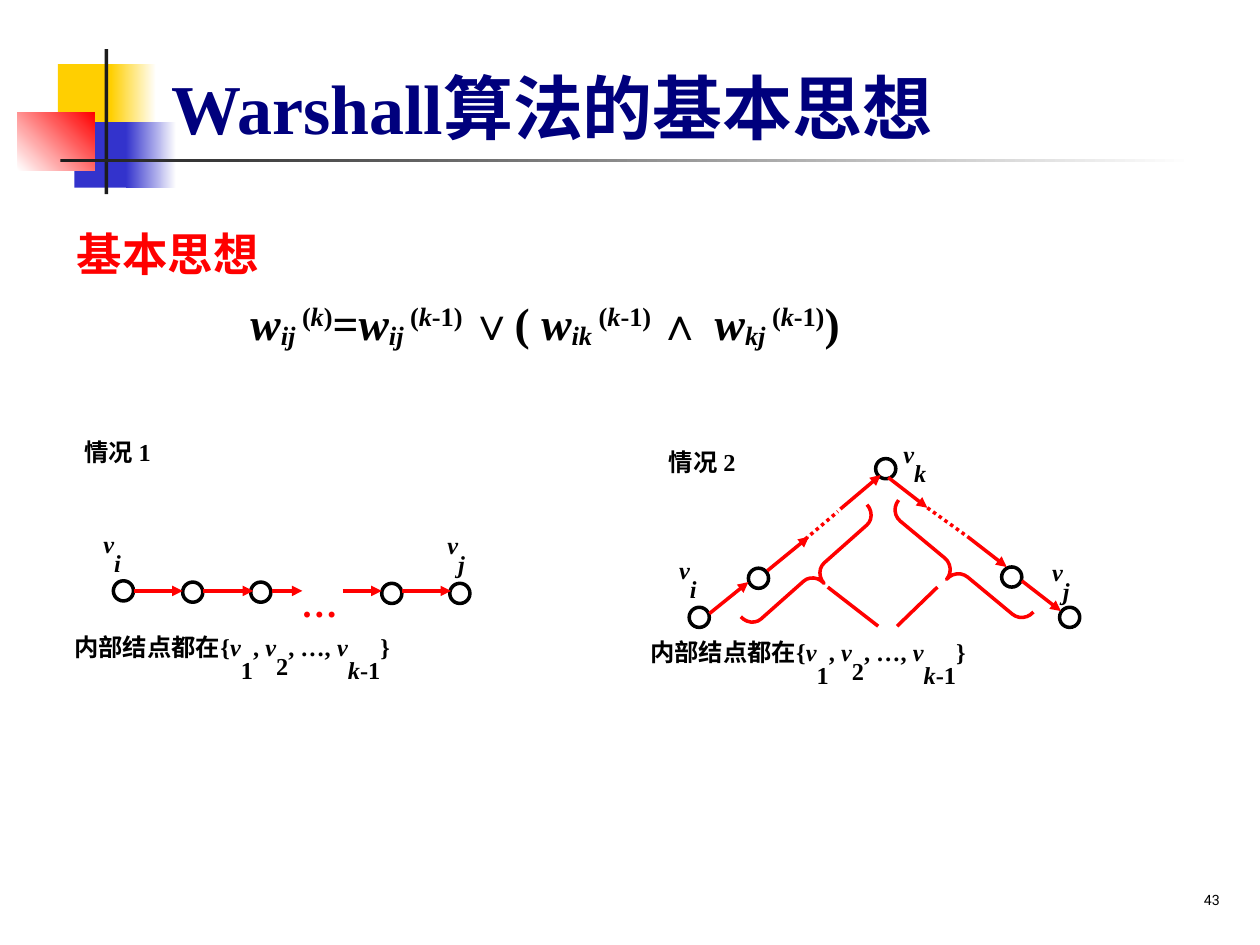
from dataclasses import dataclass
from typing import NamedTuple, Optional

from lxml.etree import SubElement
from pptx import Presentation
from pptx.dml.color import RGBColor
from pptx.enum.dml import MSO_LINE as Dash
from pptx.enum.shapes import MSO_CONNECTOR, MSO_SHAPE as Shape
from pptx.enum.text import MSO_ANCHOR as Anchor, PP_ALIGN as Align
from pptx.oxml.ns import qn
from pptx.util import Inches, Pt

COLORS = {
    "black": "000000", "red": "FF0000", "navy": "00007D", "white": "FFFFFF",
    "yellow": "FFCF01", "blue": "3333CC", "charcoal": "1C1C1C",
}
SERIF = "Times New Roman"
NODE_SIZE = 0.16
LABEL_INSETS = (0, 0.05, 0.26, 0.05)


class Span(NamedTuple):
    text: str
    base: int = 0
    italic: bool = False


@dataclass
class Band:
    left: float
    top: float
    width: float
    height: float
    start: str
    end: Optional[str] = None
    angle: int = 0


@dataclass
class Edge:
    x1: float
    y1: float
    x2: float
    y2: float
    arrow: bool = True
    dotted: bool = False


@dataclass
class Brace:
    preset: Shape
    left: float
    top: float
    height: float
    rotation: float
    curl: float


def rgb(name: str) -> RGBColor:
    return RGBColor.from_string(COLORS[name])


def add_band(slide, band: Band) -> None:
    box = map(Inches, (band.left, band.top, band.width, band.height))
    shape = slide.shapes.add_shape(Shape.RECTANGLE, *box)
    shape.shadow.inherit = False
    shape.line.fill.background()
    if band.end is None:
        shape.fill.solid()
        shape.fill.fore_color.rgb = rgb(band.start)
        return
    shape.fill.gradient()
    shape.fill.gradient_angle = band.angle
    for stop, color in zip(shape.fill.gradient_stops, (band.start, band.end)):
        stop.color.rgb = rgb(color)


def add_outline(slide, preset: Shape, left: float, top: float, width: float,
                height: float, color: str):
    shape = slide.shapes.add_shape(preset, *map(Inches, (left, top, width, height)))
    shape.shadow.inherit = False
    shape.fill.background()
    shape.line.color.rgb = rgb(color)
    shape.line.width = Pt(2)
    return shape


def add_brace(slide, brace: Brace) -> None:
    shape = add_outline(slide, brace.preset, brace.left, brace.top, 0.24, brace.height, "red")
    shape.rotation = brace.rotation
    shape.adjustments[0] = brace.curl


def add_edge(slide, edge: Edge) -> None:
    ends = map(Inches, (edge.x1, edge.y1, edge.x2, edge.y2))
    connector = slide.shapes.add_connector(MSO_CONNECTOR.STRAIGHT, *ends)
    connector.line.color.rgb = rgb("red")
    connector.line.width = Pt(2)
    if edge.dotted:
        connector.line.dash_style = Dash.ROUND_DOT
    if edge.arrow:
        SubElement(connector.line._get_or_add_ln(), qn("a:tailEnd"), type="triangle")
    SubElement(connector._element.spPr, qn("a:effectLst"))


def write_spans(paragraph, spans: list[Span], size: float, color: str,
                face: str = SERIF, bold: bool = True) -> None:
    for span in spans:
        run = paragraph.add_run()
        run.text = span.text
        style = {"name": face, "size": Pt(size), "bold": bold, "italic": span.italic}
        for attribute, value in style.items():
            setattr(run.font, attribute, value)
        run.font.color.rgb = rgb(color)
        if span.base:
            run._r.get_or_add_rPr().set("baseline", str(span.base * 1000))


def add_frame(slide, left: float, top: float, width: float, height: float,
              insets=(0.1, 0.05, 0.1, 0.05), anchor=Anchor.TOP):
    frame = slide.shapes.add_textbox(*map(Inches, (left, top, width, height))).text_frame
    sides = ("margin_left", "margin_top", "margin_right", "margin_bottom")
    layout = {"word_wrap": True, "vertical_anchor": anchor,
              **dict(zip(sides, map(Inches, insets)))}
    for attribute, value in layout.items():
        setattr(frame, attribute, value)
    return frame


def add_label(slide, left: float, top: float, width: float, spans: list[Span],
              size: float = 24, color: str = "black") -> None:
    frame = add_frame(slide, left, top, width, 0.5, LABEL_INSETS)
    write_spans(frame.paragraphs[0], spans, size, color)


def vertex(subscript: str) -> list[Span]:
    return [Span("v", 30, True), Span(subscript, -15, True)]


def matrix_entry(subscript: str, power_tail: str) -> list[Span]:
    """An entry of w with its subscript and the power (k...) above it."""
    return [Span("w", 0, True), Span(f"{subscript} ", -10, True),
            Span("(", 30), Span("k", 30, True), Span(power_tail, 30)]


BANDS = [
    Band(0.46, 0.51, 0.48, 0.52, "yellow"),
    Band(0.88, 0.51, 0.36, 0.52, "yellow", "white"),
    Band(0.59, 0.97, 0.46, 0.52, "blue"),
    Band(1, 0.97, 0.4, 0.52, "blue", "white"),
    Band(0.14, 0.89, 0.61, 0.46, "white", "red", 45),
    Band(0.83, 0.39, 0.03, 1.15, "charcoal"),
    Band(0.48, 1.26, 9, 0.03, "charcoal", "white"),
]
NODES = [
    (0.9, 4.61), (1.45, 4.62), (1.99, 4.62), (3.03, 4.63), (3.57, 4.63),
    (5.47, 4.82), (5.94, 4.51), (6.95, 3.64), (7.95, 4.5), (8.41, 4.82),
]
DIRECT_PATH = [(1.06, 1.45), (1.61, 2.01), (2.16, 2.4), (2.72, 3.03), (3.19, 3.58)]
EDGES = [Edge(start, 4.69, end, 4.69) for start, end in DIRECT_PATH] + [
    Edge(5.63, 4.87, 5.94, 4.62),
    Edge(6.09, 4.53, 6.42, 4.26),
    Edge(6.39, 4.28, 6.65, 4.06, arrow=False, dotted=True),
    Edge(6.67, 4.04, 6.99, 3.77),
    Edge(7.05, 3.79, 7.36, 4.03),
    Edge(7.36, 4.03, 7.68, 4.26, arrow=False, dotted=True),
    Edge(7.68, 4.26, 7.99, 4.5),
    Edge(8.11, 4.61, 8.42, 4.85),
    Edge(6.57, 4.66, 6.97, 4.97, arrow=False),
    Edge(7.44, 4.66, 7.12, 4.97, arrow=False),
]
BRACES = [
    Brace(Shape.RIGHT_BRACE, 6.34, 3.87, 1.34, 48.4, 0.455),
    Brace(Shape.LEFT_BRACE, 7.47, 3.81, 1.39, 309.7, 0.492),
]
VERTEX_LABELS = [(0.82, 4.11, "i"), (3.55, 4.12, "j"), (5.39, 4.32, "i"),
                 (8.35, 4.33, "j"), (7.17, 3.4, "k")]
CASES = [(0.67, 3.38, "情况 1"), (5.31, 3.46, "情况 2")]
INNER_NODES = [
    Span("内部结点都在{", 30), Span("v", 30, True), Span("1", -25),
    Span(", ", 30), Span("v", 30, True), Span("2", -15),
    Span(", …, ", 30), Span("v", 30, True), Span("k", -25, True),
    Span("-1", -25), Span("}", 30),
]
RECURRENCE = [
    *matrix_entry("ij", ")"), Span("="), *matrix_entry("ij", "-1) "), Span("∨( "),
    *matrix_entry("ik", "-1) "), Span("∧ "), *matrix_entry("kj", "-1)"), Span(")"),
]


def main() -> None:
    deck = Presentation()
    deck.slide_width, deck.slide_height = Inches(10), Inches(7.5)
    slide = deck.slides.add_slide(deck.slide_layouts[6])

    for band in BANDS:
        add_band(slide, band)

    title = add_frame(slide, 1.26, 0.39, 8.52, 0.84, anchor=Anchor.BOTTOM).paragraphs[0]
    write_spans(title, [Span("Warshall算法的基本思想")], 40, "navy")

    body = add_frame(slide, 0.51, 1.7, 9.13, 1.49)
    heading, formula = body.paragraphs[0], body.add_paragraph()
    heading.line_spacing = formula.line_spacing = 1.1
    formula.space_before = Pt(5.2)
    formula._p.get_or_add_pPr().set("marL", str(Inches(1.38)))
    write_spans(heading, [Span("基本思想")], 26, "red")
    write_spans(formula, RECURRENCE, 26, "black")

    for left, top in NODES:
        add_outline(slide, Shape.OVAL, left, top, NODE_SIZE, NODE_SIZE, "black")
    for edge in EDGES:
        add_edge(slide, edge)
    for brace in BRACES:
        add_brace(slide, brace)

    add_label(slide, 2.39, 4.23, 0.63, [Span("…", -25)], 36, "red")
    for left, top, subscript in VERTEX_LABELS:
        add_label(slide, left, top, 0.63, vertex(subscript))
    for left, top in ((0.59, 4.93), (5.16, 4.97)):
        add_label(slide, left, top, 4.4, INNER_NODES)
    for left, top, case in CASES:
        add_label(slide, left, top, 1.5, [Span(case, 30)])

    number = add_frame(slide, 7.7, 6.83, 2.08, 0.5, anchor=Anchor.BOTTOM).paragraphs[0]
    number.alignment = Align.RIGHT
    write_spans(number, [Span("43", 30)], 14, "black", "Roboto", bold=False)

    deck.save("out.pptx")


if __name__ == "__main__":
    main()
